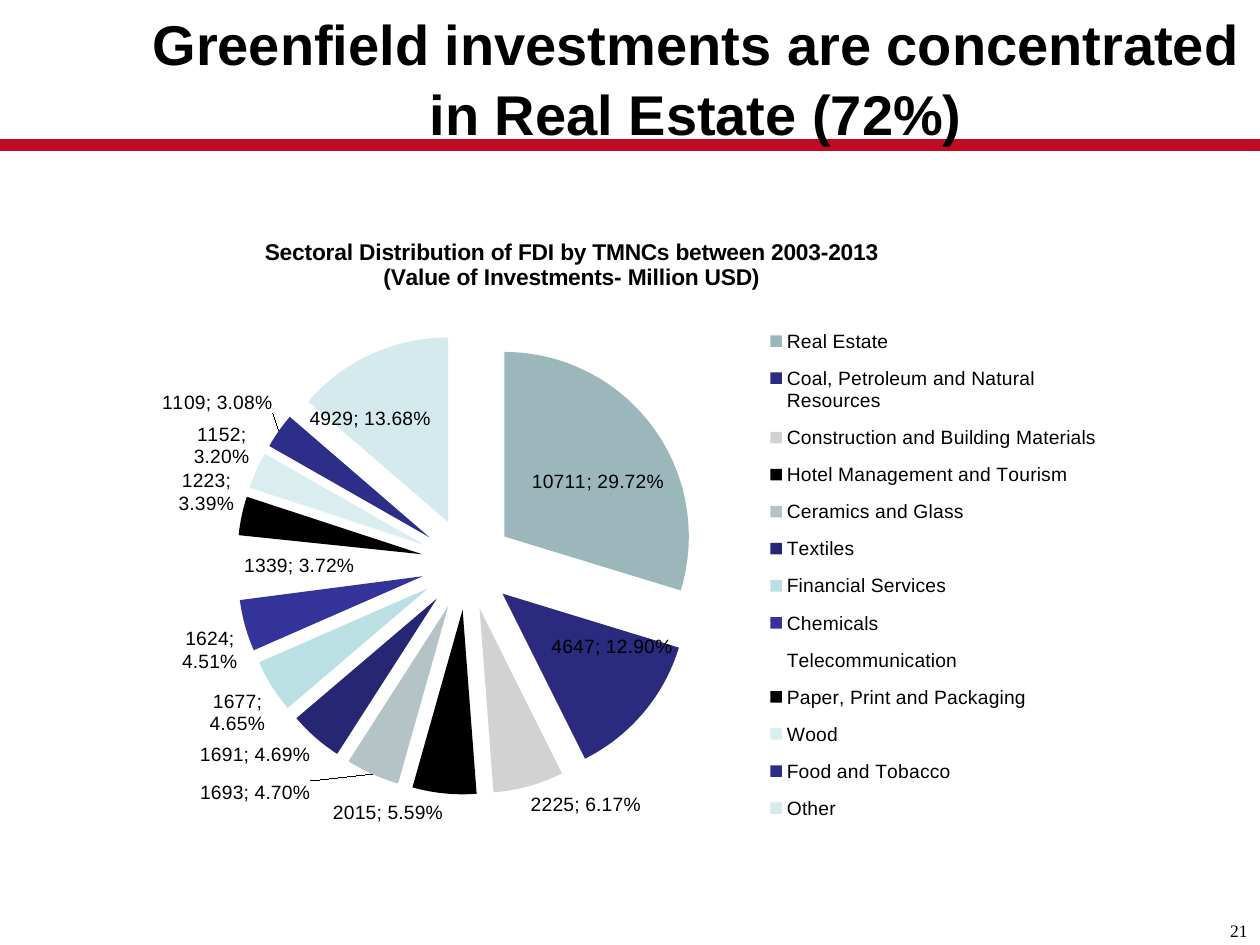
"""Build the slide on the sectoral distribution of greenfield investments."""
from copy import deepcopy

from lxml import etree
from pptx import Presentation
from pptx.chart.data import CategoryChartData
from pptx.dml.color import RGBColor
from pptx.enum.chart import XL_CHART_TYPE, XL_LABEL_POSITION, XL_LEGEND_POSITION
from pptx.enum.shapes import MSO_CONNECTOR
from pptx.enum.text import MSO_ANCHOR, PP_ALIGN
from pptx.oxml.ns import qn
from pptx.util import Pt

PIE = XL_CHART_TYPE.PIE
OUTSIDE = XL_LABEL_POSITION.OUTSIDE_END
RIGHT_LEGEND = XL_LEGEND_POSITION.RIGHT
STRAIGHT = MSO_CONNECTOR.STRAIGHT
TOP, MIDDLE = MSO_ANCHOR.TOP, MSO_ANCHOR.MIDDLE
CENTER, RIGHT = PP_ALIGN.CENTER, PP_ALIGN.RIGHT

BLACK = RGBColor(0x00, 0x00, 0x00)
WHITE = RGBColor(0xFF, 0xFF, 0xFF)
RED = RGBColor(0xC1, 0x0B, 0x25)
TEAL = RGBColor(0x9B, 0xB7, 0xBB)
NAVY = RGBColor(0x2A, 0x2A, 0x7F)
GRAY = RGBColor(0xD2, 0xD2, 0xD2)
GRAY_TEAL = RGBColor(0xB4, 0xC3, 0xC5)
DARK_NAVY = RGBColor(0x26, 0x26, 0x73)
AQUA = RGBColor(0xBB, 0xE0, 0xE3)
INDIGO = RGBColor(0x33, 0x33, 0x99)
PALE_AQUA = RGBColor(0xDA, 0xED, 0xEF)
DEEP_BLUE = RGBColor(0x2D, 0x2D, 0x8A)
LIGHT_AQUA = RGBColor(0xD5, 0xEA, 0xED)

TITLE = "Greenfield investments are concentrated in Real Estate (72%)"
CHART_TITLE = (
    "Sectoral Distribution of FDI by TMNCs between 2003-2013\n"
    "(Value of Investments- Million USD)"
)
SECTORS = [
    ("Real Estate", 10711, TEAL),
    ("Coal, Petroleum and Natural Resources", 4647, NAVY),
    ("Construction and Building Materials", 2225, GRAY),
    ("Hotel Management and Tourism", 2015, BLACK),
    ("Ceramics and Glass", 1693, GRAY_TEAL),
    ("Textiles", 1691, DARK_NAVY),
    ("Financial Services", 1677, AQUA),
    ("Chemicals", 1624, INDIGO),
    ("Telecommunication", 1339, WHITE),
    ("Paper, Print and Packaging", 1223, BLACK),
    ("Wood", 1152, PALE_AQUA),
    ("Food and Tobacco", 1109, DEEP_BLUE),
    ("Other", 4929, LIGHT_AQUA),
]
MOVED_LABELS = [
    (0, "ctr", 0.02, 0),
    (1, "ctr", 0.04, -0.01),
    (4, "outEnd", -0.06, 0),
    (8, "ctr", -0.03, 0),
    (11, "outEnd", 0, -0.02),
    (12, "ctr", -0.04, -0.03),
]


def add_element(parent, index, tag, value=None):
    element = etree.Element(qn(tag))
    if value is not None:
        element.set("val", str(value))
    parent.insert(index, element)
    return element


def add_layout(parent, index, **settings):
    old = parent.find(qn("c:layout"))
    if old is not None:
        parent.remove(old)
    manual = add_element(add_element(parent, index, "c:layout"), 0, "c:manualLayout")
    for name, value in settings.items():
        add_element(manual, len(manual), f"c:{name}", value)


def add_text(page, text, frame, insets, anchor, align, size, name, bold=False):
    box = page.shapes.add_textbox(*map(Pt, frame))
    body = box.text_frame
    body.word_wrap = True
    body.vertical_anchor = anchor
    body.margin_left, body.margin_top, body.margin_right, body.margin_bottom = map(Pt, insets)
    body.text = text
    para = body.paragraphs[0]
    para.alignment = align
    set_font(para.font, size, name, bold)
    return para


def set_font(font, size, name="Arial", bold=False):
    font.size, font.name, font.bold = Pt(size), name, bold
    font.color.rgb = BLACK


def add_labels(series):
    labels = series.data_labels
    labels.show_value = labels.show_percentage = True
    labels.number_format = "0.00%"
    labels.number_format_is_linked = False
    labels.position = OUTSIDE
    set_font(labels.font, 11)
    group = series._element.find(qn("c:dLbls"))
    separator = etree.Element(qn("c:separator"))
    separator.text = "; "
    group.find(qn("c:showBubbleSize")).addnext(separator)
    group.find(qn("c:showLeaderLines")).set("val", "1")
    shared = [child for child in group if child.tag != qn("c:showLeaderLines")]
    for position, (point, place, x, y) in enumerate(MOVED_LABELS):
        label = add_element(group, position, "c:dLbl")
        add_element(label, 0, "c:idx", point)
        add_layout(label, 1, x=x, y=y)
        label.extend(deepcopy(shared))
        label.find(qn("c:dLblPos")).set("val", place)


def add_pie(page):
    data = CategoryChartData()
    data.categories = [name for name, _, _ in SECTORS]
    data.add_series("Series 1", [value for _, value, _ in SECTORS])
    frame = map(Pt, (76.3, 122.4, 560.9, 385.2))
    chart = page.shapes.add_chart(PIE, *frame, data).chart
    set_font(chart.font, 11)

    chart.has_title = True
    heading = chart.chart_title.text_frame
    heading.text = CHART_TITLE
    for para in heading.paragraphs:
        set_font(para.font, 13, bold=True)
    add_layout(chart.chart_title._element, 1, xMode="edge", yMode="edge", x=0.13, y=0.03)

    chart.has_legend = True
    legend = chart.legend
    legend.position = RIGHT_LEGEND
    legend.include_in_layout = False
    set_font(legend.font, 11)
    add_layout(legend._element, 1, xMode="edge", yMode="edge", x=0.64, y=0.15, w=0.35, h=0.77)

    plot = chart.plots[0]
    plot.vary_by_categories = True
    add_layout(plot._element.getparent(), 0, layoutTarget="inner", xMode="edge",
               yMode="edge", x=0.105, y=0.111, w=0.47, h=0.816)
    series = plot.series[0]
    for index, (_, _, color) in enumerate(SECTORS):
        look = series.points[index].format
        look.fill.solid()
        look.fill.fore_color.rgb = color
        look.line.fill.background()
    ser = series._element
    add_element(ser, ser.index(ser.find(qn("c:dPt"))), "c:explosion", 25)
    add_labels(series)


def main():
    deck = Presentation()
    deck.slide_width, deck.slide_height = Pt(720), Pt(540)
    page = deck.slides.add_slide(deck.slide_layouts[6])

    rule = page.shapes.add_connector(STRAIGHT, Pt(720), Pt(82.8), Pt(0), Pt(82.8))
    rule.line.color.rgb = RED
    rule.line.width = Pt(6.5)
    etree.SubElement(rule._element.spPr, qn("a:effectLst"))

    title = add_text(page, TITLE, (79.2, 7.2, 640.8, 72.7), (3.6, 3.6, 7.2, 3.6),
                     MIDDLE, CENTER, 32, "Arial", True)
    title.line_spacing = 1.05
    add_text(page, "21", (678.2, 522, 41.8, 18), (7.2, 3.6, 7.2, 3.6),
             TOP, RIGHT, 10, "Times New Roman")
    add_pie(page)
    deck.save("out.pptx")


if __name__ == "__main__":
    main()
